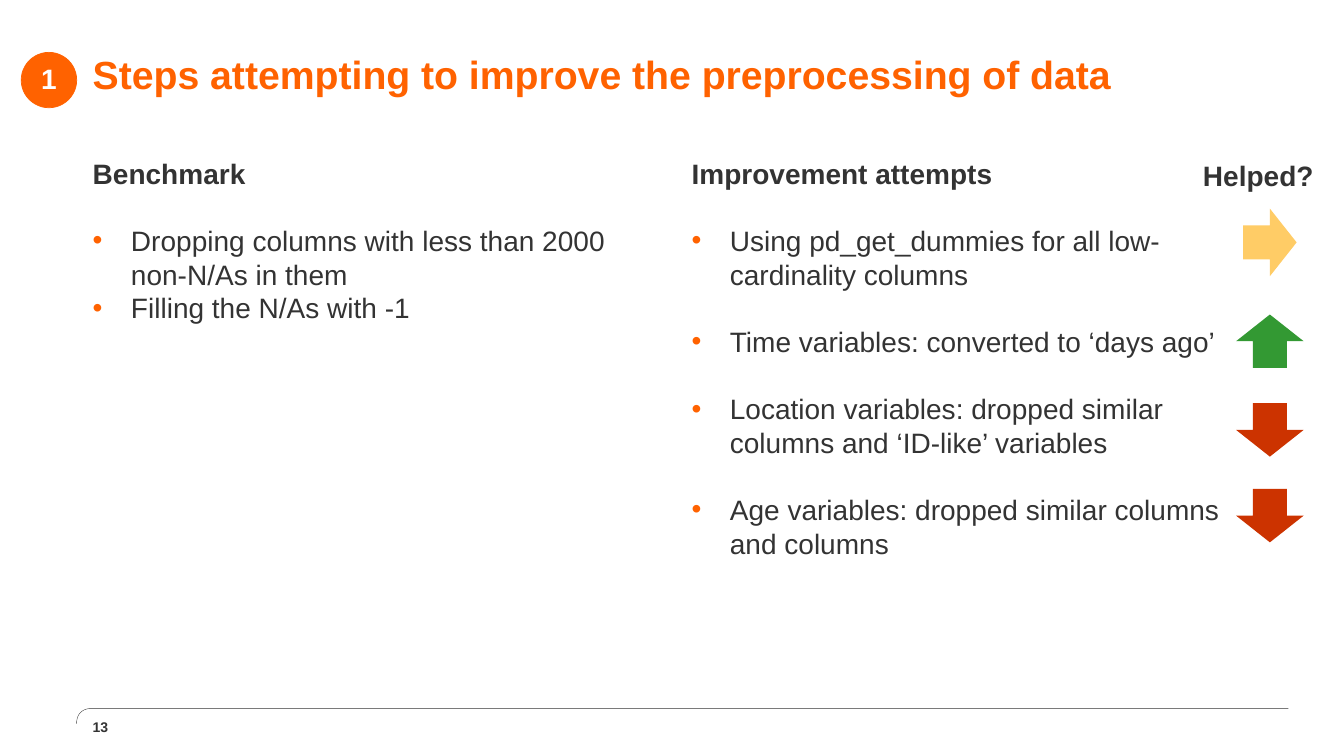
from lxml.etree import SubElement
from pptx import Presentation
from pptx.dml.color import RGBColor
from pptx.enum.shapes import MSO_SHAPE
from pptx.enum.text import MSO_ANCHOR, MSO_AUTO_SIZE, PP_ALIGN
from pptx.oxml.ns import qn
from pptx.util import Inches, Pt

SLIDE_WIDTH, SLIDE_HEIGHT = Inches(13.33), Inches(7.5)
ORANGE = RGBColor(0xFF, 0x62, 0x00)
DARK = RGBColor(0x33, 0x33, 0x33)
WHITE = RGBColor(0xFF, 0xFF, 0xFF)
YELLOW = RGBColor(0xFF, 0xCC, 0x66)
GREEN = RGBColor(0x33, 0x99, 0x33)
RED = RGBColor(0xCC, 0x33, 0x00)

# Horizontal and vertical positions are percentages of the slide's size.
MARGIN_LEFT = 6.9
COLUMN_WIDTH = 41.48
BODY_TOP, BODY_HEIGHT = 20.67, 71.87
LINE = Pt(24)
BULLET_INDENT = Inches(0.38)

BENCHMARK = [
    ("Dropping columns with less than 2000 non-N/As in them", LINE),
    ("Filling the N/As with -1", Pt(0)),
]
ATTEMPTS = [
    ("Using pd_get_dummies for all low-cardinality columns", LINE),
    ("Time variables: converted to ‘days ago’", LINE),
    ("Location variables: dropped similar columns and ‘ID-like’ variables", LINE),
    ("Age variables: dropped similar columns and columns", LINE),
]
# Top, rotation and colour of each verdict arrow
VERDICTS = [
    (28.53, 90, YELLOW),
    (41.6, 0, GREEN),
    (53.33, 180, RED),
    (64.67, 180, RED),
]


def across(percent):
    return round(SLIDE_WIDTH * percent / 100)


def down(percent):
    return round(SLIDE_HEIGHT * percent / 100)


def box(left, top, width, height):
    return across(left), down(top), across(width), down(height)


def set_all(target, values):
    for name, value in values.items():
        setattr(target, name, value)


def format_frame(frame, anchor=MSO_ANCHOR.TOP, inset=0):
    set_all(frame, {
        "word_wrap": True, "auto_size": MSO_AUTO_SIZE.NONE,
        "vertical_anchor": anchor,
        "margin_left": inset, "margin_right": inset,
        "margin_top": inset, "margin_bottom": inset,
    })


def write(paragraph, text, size=20, color=DARK, bold=True,
          align=PP_ALIGN.LEFT, line=LINE, before=Pt(0)):
    set_all(paragraph, {"alignment": align, "line_spacing": line,
                        "space_before": before})
    run = paragraph.add_run()
    run.text = text
    set_all(run.font, {"name": "Arial", "size": Pt(size), "bold": bold})
    run.font.color.rgb = color


def add_bullet(paragraph):
    properties = paragraph._p.get_or_add_pPr()
    properties.set("marL", str(BULLET_INDENT))
    properties.set("indent", str(-BULLET_INDENT))
    color = SubElement(properties, qn("a:buClr"))
    SubElement(color, qn("a:srgbClr")).set("val", str(ORANGE))
    SubElement(properties, qn("a:buFont")).set("typeface", "Arial")
    SubElement(properties, qn("a:buChar")).set("char", "•")


def add_label(slide, place, text, anchor=MSO_ANCHOR.TOP, **style):
    frame = slide.shapes.add_textbox(*box(*place)).text_frame
    format_frame(frame, anchor)
    write(frame.paragraphs[0], text, **style)
    return frame


def add_column(slide, left, heading, items):
    frame = add_label(slide, (left, BODY_TOP, COLUMN_WIDTH, BODY_HEIGHT), heading)
    for text, gap in items:
        paragraph = frame.add_paragraph()
        write(paragraph, text, bold=False, before=gap)
        add_bullet(paragraph)


def add_filled(slide, kind, place, color):
    shape = slide.shapes.add_shape(kind, *box(*place))
    shape.shadow.inherit = False
    shape.fill.solid()
    shape.fill.fore_color.rgb = color
    shape.line.fill.background()
    return shape


def add_badge(slide, text):
    badge = add_filled(slide, MSO_SHAPE.OVAL, (1.58, 6.93, 4.13, 7.33), ORANGE)
    badge.line.color.rgb = ORANGE
    badge.line.width = Pt(0.5)
    format_frame(badge.text_frame, MSO_ANCHOR.MIDDLE, Inches(0.04))
    write(badge.text_frame.paragraphs[0], text, color=WHITE,
          align=PP_ALIGN.CENTER, line=0.9)


def add_footer_rule(slide):
    """Draw a thin line whose left end bends down along a Bézier curve."""
    left, bend, right = 5.7, 6.68, 95.87
    top, bottom = 93.73, 95.73
    steps = 16
    curve = []
    for step in range(1, steps + 1):
        t = step / steps
        x = left + (bend - left) * ((1 - t) ** 3 + 3 * t * (1 - t) ** 2)
        y = top + (bottom - top) * t ** 3
        curve.append((across(x), down(y)))
    builder = slide.shapes.build_freeform(across(right), down(top))
    builder.add_line_segments([(across(bend), down(top))] + curve, close=False)
    rule = builder.convert_to_shape()
    rule.shadow.inherit = False
    rule.fill.background()
    rule.line.color.rgb = DARK
    rule.line.width = Pt(0.25)


def set_title(slide, text):
    title = slide.shapes.title
    left, top, width, height = box(MARGIN_LEFT, 4.13, 86.05, 12.4)
    set_all(title, {"left": left, "top": top, "width": width, "height": height})
    format_frame(title.text_frame, MSO_ANCHOR.MIDDLE)
    write(title.text_frame.paragraphs[0], text, size=28, color=ORANGE, line=Pt(28))


def main():
    deck = Presentation()
    set_all(deck, {"slide_width": SLIDE_WIDTH, "slide_height": SLIDE_HEIGHT})
    slide = deck.slides.add_slide(deck.slide_layouts.get_by_name("Title Only"))

    add_footer_rule(slide)
    set_title(slide, "Steps attempting to improve the preprocessing of data")
    add_label(slide, (MARGIN_LEFT, 94.8, 4.05, 2.8), "13",
              MSO_ANCHOR.MIDDLE, size=10, line=1.0)
    add_column(slide, 51.46, "Improvement attempts", ATTEMPTS)
    add_column(slide, MARGIN_LEFT, "Benchmark", BENCHMARK)
    add_badge(slide, "1")
    add_label(slide, (87.25, 20.93, 12.75, BODY_HEIGHT), "Helped?",
              align=PP_ALIGN.CENTER)
    for top, rotation, color in VERDICTS:
        arrow = add_filled(slide, MSO_SHAPE.UP_ARROW, (91.97, top, 5.03, 7.07), color)
        arrow.rotation = rotation

    deck.save("out.pptx")


if __name__ == "__main__":
    main()
